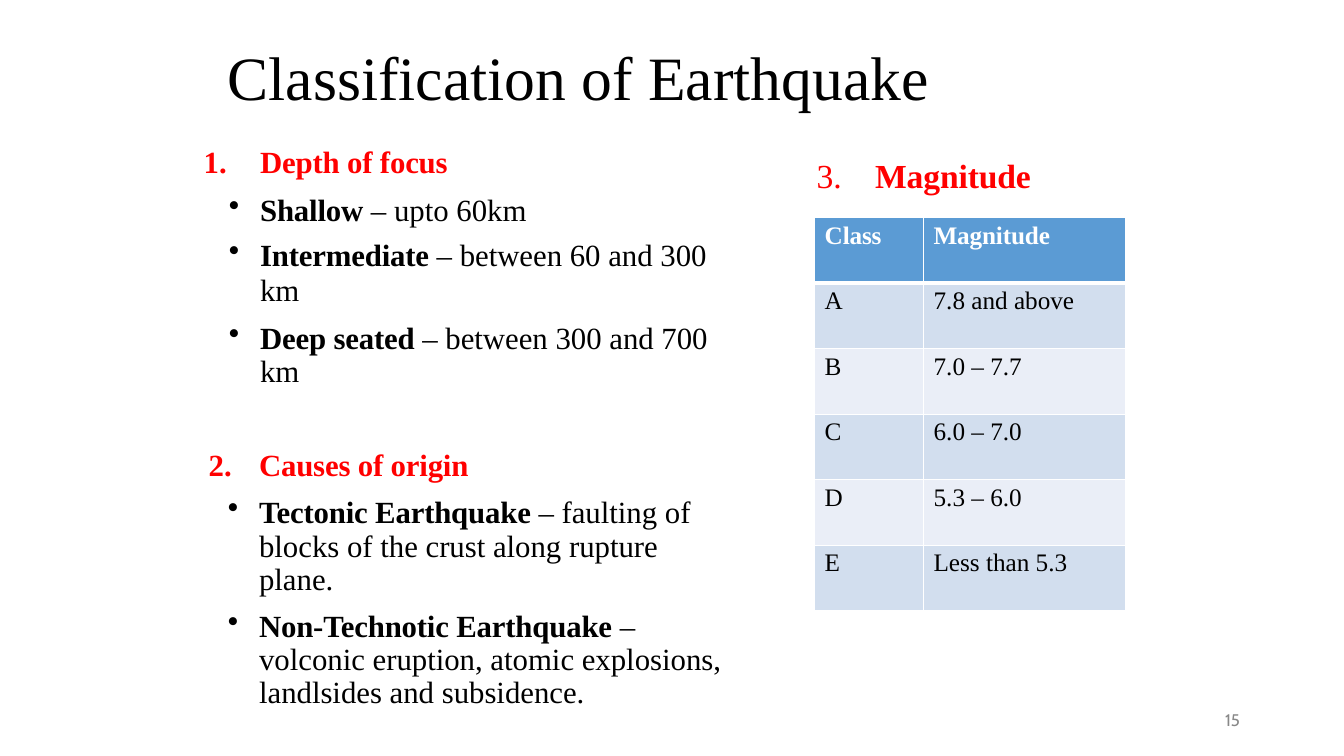
"""Builds the slide on the classification of earthquakes."""
import pptx
import pptx.util
import pptx.dml.color
import pptx.enum.text
import pptx.oxml.ns
import lxml.etree

Inches = pptx.util.Inches
Pt = pptx.util.Pt
RED = pptx.dml.color.RGBColor(0xFF, 0x00, 0x00)
BLACK = pptx.dml.color.RGBColor(0x00, 0x00, 0x00)
WHITE = pptx.dml.color.RGBColor(0xFF, 0xFF, 0xFF)
GREY = pptx.dml.color.RGBColor(0x88, 0x88, 0x88)
HEADER_BLUE = pptx.dml.color.RGBColor(0x5B, 0x9B, 0xD4)
BAND_DARK = pptx.dml.color.RGBColor(0xD2, 0xDE, 0xEE)
BAND_LIGHT = pptx.dml.color.RGBColor(0xEA, 0xEE, 0xF7)
SERIF = "Times New Roman"


def add_run(paragraph, text, size, color, bold=False, font=SERIF):
    run = paragraph.add_run()
    run.text = text
    run.font.size = Pt(size)
    run.font.name = font
    run.font.bold = bold
    run.font.color.rgb = color
    if bold:
        run.font._element.set("spc", "-10")


def add_child(parent, tag, **attributes):
    return lxml.etree.SubElement(parent, pptx.oxml.ns.qn(tag), attributes)


deck = pptx.Presentation()
deck.slide_width = Inches(13.33)
deck.slide_height = Inches(7.5)
slide = deck.slides.add_slide(deck.slide_layouts[5])

title = slide.shapes.title
page_number = slide.shapes.add_textbox(0, 0, 0, 0)
depth = slide.shapes.add_textbox(0, 0, 0, 0)
causes = slide.shapes.add_textbox(0, 0, 0, 0)
magnitude = slide.shapes.add_textbox(0, 0, 0, 0)
for part, left, top, width, height, inset in [
    (title, 2.25, 0.38, 6.99, 0.76, 0.01),
    (page_number, 12.11, 7.07, 0.25, 0.19, 0),
    (depth, 2, 1.3, 5.05, 2.56, 0.12),
    (causes, 2.06, 4.31, 5.12, 2.75, 0.11),
    (magnitude, 8.09, 1.53, 2.15, 0.43, 0.01),
]:
    part.left, part.top = Inches(left), Inches(top)
    part.width, part.height = Inches(width), Inches(height)
    frame = part.text_frame
    frame.word_wrap = True
    frame.auto_size = pptx.enum.text.MSO_AUTO_SIZE.NONE
    frame.vertical_anchor = pptx.enum.text.MSO_ANCHOR.TOP
    frame.margin_left = frame.margin_right = frame.margin_bottom = 0
    frame.margin_top = Inches(inset)
    frame.paragraphs[0].alignment = pptx.enum.text.PP_ALIGN.LEFT

title_line = title.text_frame.paragraphs[0]
title_line._p.get_or_add_pPr().set("marL", str(Inches(0.01)))
add_run(title_line, "Classification of Earthquake", 44, BLACK)

page_line = page_number.text_frame.paragraphs[0]
page_line.line_spacing = Pt(12.4)
page_line._p.get_or_add_pPr().set("marL", str(Inches(0.04)))
add_run(page_line, "15", 12, GREY, font="Cabin")

magnitude_line = magnitude.text_frame.paragraphs[0]
magnitude_props = magnitude_line._p.get_or_add_pPr()
magnitude_props.set("marL", str(Inches(0.01)))
tab_stops = add_child(magnitude_props, "a:tabLst")
add_child(tab_stops, "a:tab", pos=str(Inches(0.58)), algn="l")
add_run(magnitude_line, "3.\t", 24, RED)
add_run(magnitude_line, "Magnitude", 24, RED, True)

sections = [
    (depth, 1, "Depth of focus", 0.58, 0.56, [
        ("Shallow ", "– upto 60km", None, 7.4),
        ("Intermediate ", "– between 60 and 300", Pt(25), 7.4),
        ("", "km", Pt(25), 0),
        ("Deep seated ", "– between 300 and 700 km", Pt(23.8), 10.4),
    ]),
    (causes, 2, "Causes of origin", 0.51, 0.5, [
        ("Tectonic Earthquake ",
         "– faulting of blocks of the crust along rupture plane.", Pt(23.8), 10.2),
        ("Non-Technotic Earthquake ",
         "– volconic eruption, atomic explosions, landlsides and subsidence.", 0.9, 9.8),
    ]),
]
for box, number, heading, margin, hanging, points in sections:
    heading_line = box.text_frame.paragraphs[0]
    props = heading_line._p.get_or_add_pPr()
    props.set("marL", str(Inches(margin)))
    props.set("indent", str(-Inches(hanging)))
    add_child(props, "a:buAutoNum", type="arabicPeriod", startAt=str(number))
    add_run(heading_line, heading, 22, RED, True)
    for term, meaning, spacing, before in points:
        point = box.text_frame.add_paragraph()
        point.line_spacing = spacing
        point.space_before = Pt(before)
        props = point._p.get_or_add_pPr()
        props.set("marL", str(Inches(margin)))
        if term:
            point.level = 1
            props.set("indent", str(-Inches(0.31)))
            add_child(props, "a:buChar", char="•")
            add_run(point, term, 22, BLACK, True)
        add_run(point, meaning, 22, BLACK)

classes = [
    ("Class", "Magnitude"),
    ("A", "7.8 and above"),
    ("B", "7.0 – 7.7"),
    ("C", "6.0 – 7.0"),
    ("D", "5.3 – 6.0"),
    ("E", "Less than 5.3"),
]
scale = slide.shapes.add_table(
    len(classes), 2, Inches(8.08), Inches(2.16), Inches(3.08), Inches(3.9)).table
scale.columns[0].width = Inches(1.08)
scale.columns[1].width = Inches(2)
for row, entries in enumerate(classes):
    scale.rows[row].height = Inches(0.65)
    for column, entry in enumerate(entries):
        cell = scale.cell(row, column)
        cell.margin_left = Inches(0.1)
        cell.margin_right = cell.margin_bottom = 0
        cell.margin_top = Inches(0.04)
        cell_props = cell._tc.get_or_add_tcPr()
        for side in ("L", "R", "T", "B"):
            thick = (row, side) in [(0, "B"), (1, "T")]
            border = add_child(cell_props, "a:ln" + side, w=str(Pt(3 if thick else 1)))
            add_child(add_child(border, "a:solidFill"), "a:srgbClr", val=str(WHITE))
        cell.fill.solid()
        band = BAND_DARK if row % 2 else BAND_LIGHT
        cell.fill.fore_color.rgb = band if row else HEADER_BLUE
        add_run(cell.text_frame.paragraphs[0], entry, 18,
                BLACK if row else WHITE, row == 0)

deck.save("out.pptx")
